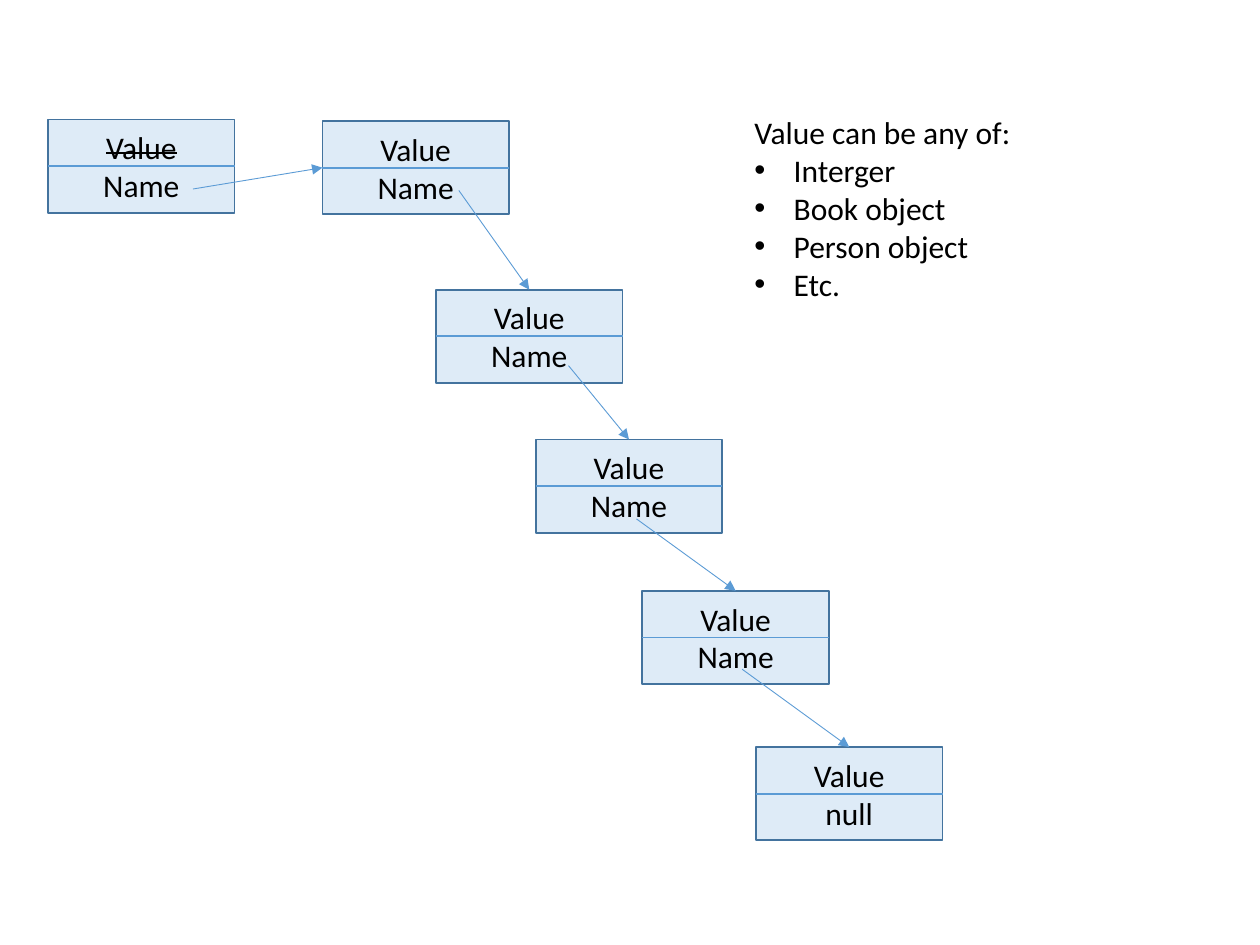
from lxml import etree
from pptx import Presentation
from pptx.dml.color import RGBColor
from pptx.enum.shapes import MSO_CONNECTOR, MSO_SHAPE
from pptx.enum.text import MSO_ANCHOR, MSO_AUTO_SIZE, PP_ALIGN
from pptx.oxml.ns import qn
from pptx.util import Cm, Pt

STRAIGHT = MSO_CONNECTOR.STRAIGHT
RECTANGLE = MSO_SHAPE.RECTANGLE
MIDDLE = MSO_ANCHOR.MIDDLE
FIT_SHAPE = MSO_AUTO_SIZE.SHAPE_TO_FIT_TEXT
LEFT, CENTER = PP_ALIGN.LEFT, PP_ALIGN.CENTER
TOP_SITE, LEFT_SITE = 0, 1

COLORS = {"fill": "DEEBF7", "border": "43739E", "line": "5B9BD5", "text": "000000"}
FONT = "Calibri"
NODE_WIDTH, NODE_HEIGHT = 3.76, 1.88
INDENT = 0.79

NODES = [
    {"at": (0.97, 2.41), "lines": ["Value", "Name"], "struck": ["Value"]},
    {"at": (6.5, 2.44), "lines": ["Value", "Name"]},
    {"at": (8.79, 5.84), "lines": ["Value", "Name"]},
    {"at": (10.8, 8.86), "lines": ["Value", "Name"]},
    {"at": (12.95, 11.91), "lines": ["Value", "Name"]},
    {"at": (15.24, 15.06), "lines": ["Value", "null"]},
]
ARROWS = [
    ((3.89, 3.81), LEFT_SITE),
    ((9.25, 3.84), TOP_SITE),
    ((11.46, 7.37), TOP_SITE),
    ((12.83, 10.46), TOP_SITE),
    ((14.96, 13.49), TOP_SITE),
]
NOTE_AT = (14.96, 2.16, 5.74, 4.11)
NOTE_TITLE = "Value can be any of:"
NOTE_ITEMS = ["Interger", "Book object", "Person object", "Etc."]


def color(name):
    return RGBColor.from_string(COLORS[name])


def write(frame, lines, align=LEFT, struck=(), bulleted=()):
    for index, line in enumerate(lines):
        para = frame.add_paragraph() if index else frame.paragraphs[0]
        para.alignment = align
        span = para.add_run()
        span.text = line
        span.font.name = FONT
        span.font.size = Pt(18)
        span.font.color.rgb = color("text")
        if line in struck:
            span.font._element.set("strike", "sngStrike")
        if line in bulleted:
            properties = para._p.get_or_add_pPr()
            properties.set("marL", str(Cm(INDENT)))
            properties.set("indent", str(-Cm(INDENT)))
            etree.SubElement(properties, qn("a:buFont")).set("typeface", "Arial")
            etree.SubElement(properties, qn("a:buChar")).set("char", "•")


def add_line(shapes, start, end, width):
    line = shapes.add_connector(STRAIGHT, *map(Cm, start + end))
    line.line.color.rgb = color("line")
    line.line.width = Pt(width)
    etree.SubElement(line._element.spPr, qn("a:effectLst"))
    return line


def add_node(page, at, lines, struck=()):
    left, top = at
    group = page.shapes.add_group_shape()
    box = group.shapes.add_shape(
        RECTANGLE, Cm(left), Cm(top), Cm(NODE_WIDTH), Cm(NODE_HEIGHT))
    box.shadow.inherit = False
    box.fill.solid()
    box.fill.fore_color.rgb = color("fill")
    box.line.color.rgb = color("border")
    box.line.width = Pt(1)
    box.text_frame.vertical_anchor = MIDDLE
    write(box.text_frame, lines, align=CENTER, struck=struck)
    middle = top + NODE_HEIGHT / 2
    add_line(group.shapes, (left, middle), (left + NODE_WIDTH, middle), 1)
    return box


def add_arrow(page, start, target, site):
    arrow = add_line(page.shapes, start, start, 0.5)
    arrow.end_connect(target, site)
    outline = arrow.line._get_or_add_ln()
    etree.SubElement(outline, qn("a:tailEnd")).set("type", "triangle")


deck = Presentation()
deck.slide_width, deck.slide_height = Cm(25.4), Cm(19.05)
page = deck.slides.add_slide(deck.slide_layouts[6])

boxes = [add_node(page, **node) for node in NODES]
for (start, site), target in zip(ARROWS, boxes[1:]):
    add_arrow(page, start, target, site)

note = page.shapes.add_textbox(*map(Cm, NOTE_AT))
note.text_frame.word_wrap = False
note.text_frame.auto_size = FIT_SHAPE
write(note.text_frame, [NOTE_TITLE] + NOTE_ITEMS, bulleted=NOTE_ITEMS)

deck.save("out.pptx")
